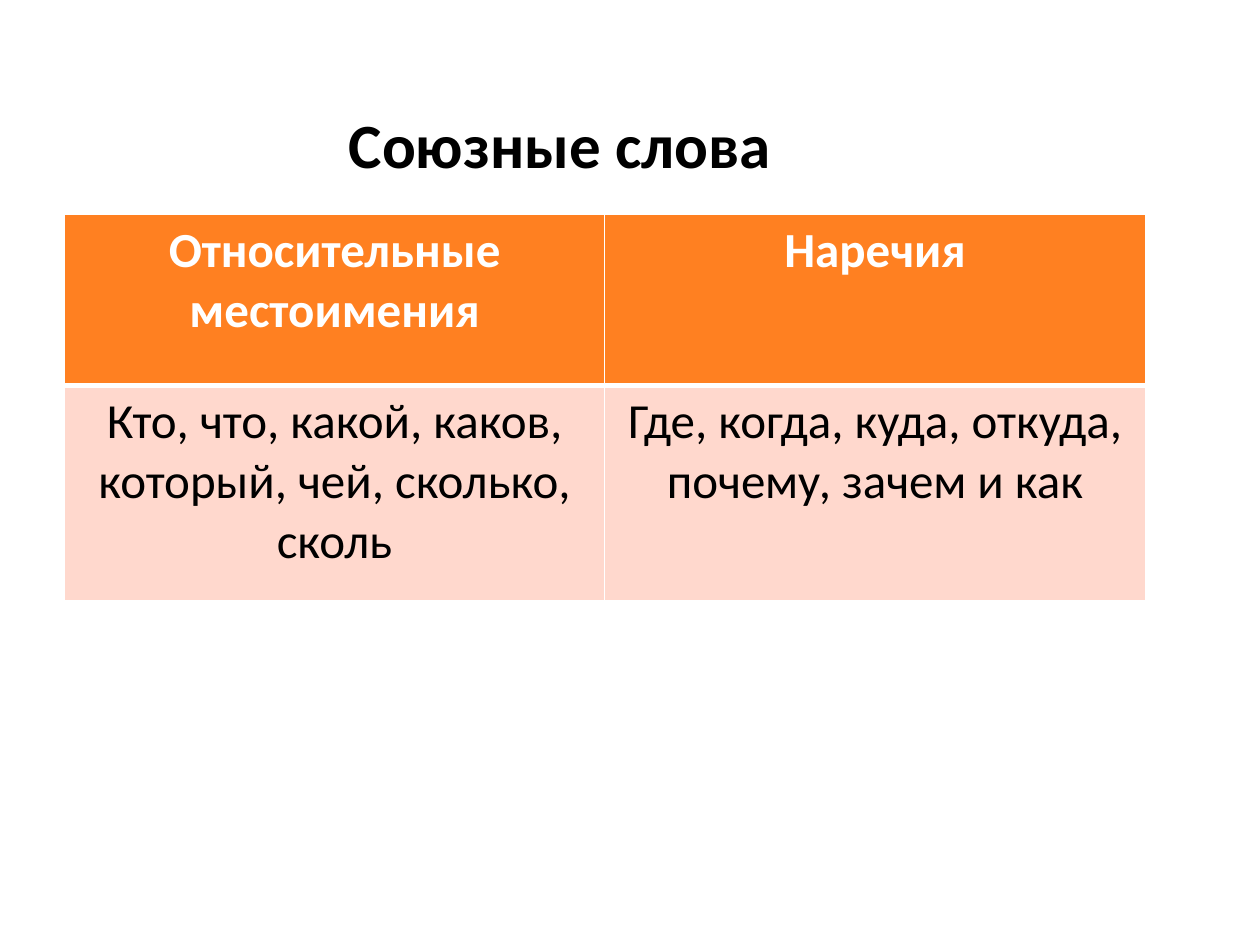
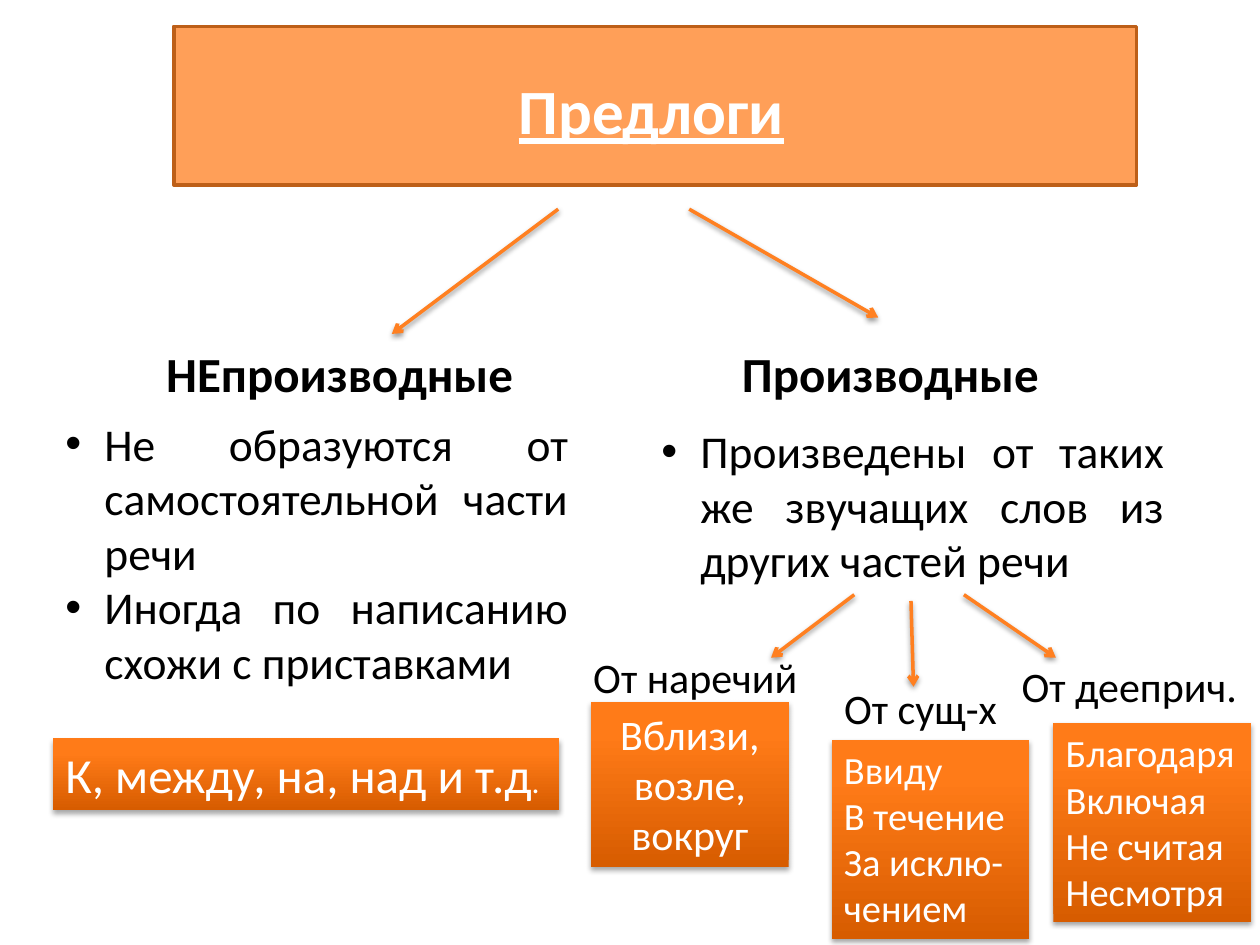
from lxml import etree
from copy import deepcopy
from pptx import Presentation
from pptx.dml.color import RGBColor
from pptx.enum import shapes, text
from pptx.oxml.ns import qn
from pptx.util import Inches, Pt

FONT = "Calibri"
COLORS = {
    "orange": "FF8021",
    "outline": "BD5F18",
    "pale": "FFD8CD",
    "white": "FFFFFF",
    "black": "000000",
}
GLOSS = [(0, "D75C00"), (0.8, "FF7B18"), (1, "FF7C19")]
ALIGN = {
    "left": text.PP_ALIGN.LEFT,
    "center": text.PP_ALIGN.CENTER,
    "justify": text.PP_ALIGN.JUSTIFY,
}


def color(name):
    return RGBColor.from_string(COLORS[name])


def child(parent, tag, **attributes):
    """Append a drawing element and return it."""
    element = etree.SubElement(parent, qn(f"a:{tag}"))
    for key, value in attributes.items():
        element.set(key, str(value))
    return element


def write(frame, lines, size, ink="black", align="left", bold=False,
          underline=False, bullet=False):
    """Fill a frame; a line is a string or a list of (text, size) spans."""
    frame.word_wrap = True
    for index, line in enumerate(lines):
        para = frame.paragraphs[0] if index == 0 else frame.add_paragraph()
        para.alignment = ALIGN[align]
        if bullet:
            properties = para._p.get_or_add_pPr()
            properties.set("marL", str(Inches(0.31)))
            properties.set("indent", str(-Inches(0.31)))
            child(properties, "buFont", typeface="Arial")
            child(properties, "buChar", char="•")
        spans = [(line, size)] if isinstance(line, str) else line
        for words, points in spans:
            span = para.add_run()
            span.text = words
            font = span.font
            font.name, font.size = FONT, Pt(points)
            font.bold, font.underline = bold, underline
            font.color.rgb = color(ink)


def label(page, box, lines, size, **style):
    frame = page.shapes.add_textbox(*map(Inches, box)).text_frame
    write(frame, lines, size, **style)
    frame.auto_size = text.MSO_AUTO_SIZE.SHAPE_TO_FIT_TEXT


def cast_shadow(shape, opacity, distance):
    properties = shape._element.spPr
    for effects in properties.findall(qn("a:effectLst")):
        properties.remove(effects)
    shadow = child(child(properties, "effectLst"), "outerShdw", blurRad=Pt(3.1),
                   dist=Pt(distance), dir=90 * 60000, rotWithShape=0)
    child(child(shadow, "srgbClr", val=COLORS["black"]), "alpha", val=opacity * 1000)


def rectangle(page, box):
    shape = page.shapes.add_shape(shapes.MSO_SHAPE.RECTANGLE, *map(Inches, box))
    shape.shadow.inherit = False
    return shape


def arrow(page, start, end):
    line = page.shapes.add_connector(shapes.MSO_CONNECTOR.STRAIGHT,
                                     *map(Inches, start + end))
    line.line.color.rgb = color("orange")
    line.line.width = Pt(2)
    child(line.line._get_or_add_ln(), "tailEnd", type="arrow")
    cast_shadow(line, 38, 1.6)


def example_card(page, box, lines, size, align="left"):
    """Glossy orange card with sample words."""
    card = rectangle(page, box)
    card.line.fill.background()
    card.fill.gradient()
    card.fill.gradient_angle = 90
    stop_list = card._element.spPr.find(".//" + qn("a:gsLst"))
    stop_list.append(deepcopy(stop_list[0]))
    for stop, (position, shade) in zip(card.fill.gradient_stops, GLOSS):
        stop.position = position
        stop.color.rgb = RGBColor.from_string(shade)
    cast_shadow(card, 35, 1.8)
    frame = card.text_frame
    frame.vertical_anchor = text.MSO_ANCHOR.TOP
    write(frame, lines, size, ink="white", align=align)
    frame.auto_size = text.MSO_AUTO_SIZE.SHAPE_TO_FIT_TEXT


def cell_borders(cell, **widths):
    properties = cell._tc.get_or_add_tcPr()
    for index, side in enumerate("LRTB"):
        line = child(properties, f"ln{side}", w=Pt(widths.get(side, 1)))
        child(child(line, "solidFill"), "srgbClr", val=COLORS["white"])
        properties.insert(index, line)


def word_table(page, box, row_heights, rows):
    table = page.shapes.add_table(len(rows), len(rows[0]), *map(Inches, box)).table
    for row, height in zip(table.rows, row_heights):
        row.height = Inches(height)
    for row_index, row in enumerate(rows):
        header = row_index == 0
        for column_index, words in enumerate(row):
            cell = table.cell(row_index, column_index)
            cell.fill.solid()
            cell.fill.fore_color.rgb = color("orange" if header else "pale")
            cell_borders(cell, **({"B": 3} if header else {"T": 3}))
            write(cell.text_frame, [words], 28, align="center", bold=header,
                  ink="white" if header else "black")


def banner(page, box, title):
    left, top, width, height = box
    panel = rectangle(page, box)
    panel.fill.solid()
    panel.fill.fore_color.rgb = color("orange")
    child(panel._element.spPr.find(qn("a:solidFill"))[0], "alpha", val=75000)
    panel.line.color.rgb = color("outline")
    panel.line.width = Pt(2)
    label(page, (left + 0.47, top + 0.31, width - 1, 0.71), [title], 36,
          ink="white", align="center", bold=True, underline=True)


def definition(page, box, heading, heading_left, points, points_top):
    """Heading over a bulleted list; the offsets are relative to the box."""
    left, top, width, height = box
    label(page, (left + heading_left, top, 3.39, 0.57), [heading], 28, bold=True)
    label(page, (left, top + points_top, width, height - points_top), points, 26,
          align="justify", bullet=True)


def origin(page, spot, heading, card_offset, card_height, examples, size, align="left"):
    """Label of a source part of speech with its example card."""
    left, top = spot
    across, down = card_offset
    label(page, (left, top, 1.99, 0.5), [heading], 24, align="justify")
    example_card(page, (left + across, top + down, 1.57, card_height),
                 examples, size, align)


def conjunctive_words(page):
    word_table(page, (0.51, 1.7, 8.58, 3.07), (1.36, 1.71), [
        ("Относительные местоимения", "Наречия"),
        ("Кто, что, какой, каков, который, чей, сколько, сколь",
         "Где, когда, куда, откуда, почему, зачем и как"),
    ])
    label(page, (2.67, 0.79, 5.43, 0.71), ["Союзные слова"], 36, bold=True)


def prepositions(page):
    banner(page, (1.38, 0.21, 7.64, 1.26), "Предлоги")
    for start, end in [
        ((4.43, 1.66), (3.11, 2.65)),
        ((5.47, 1.66), (6.97, 2.52)),
        ((6.78, 4.72), (6.12, 5.22)),
        ((7.23, 4.77), (7.25, 5.45)),
        ((7.65, 4.72), (8.38, 5.22)),
    ]:
        arrow(page, start, end)
    definition(page, (0.42, 2.68, 4.19, 2.86), "НЕпроизводные", 0.8,
               ["Не образуются от самостоятельной части речи",
                "Иногда по написанию схожи с приставками"], 0.57)
    definition(page, (5.15, 2.68, 4.19, 2.04), "Производные", 0.64,
               ["Произведены от таких же звучащих слов из других частей речи"], 0.63)
    example_card(page, (0.42, 5.86, 4.02, 0.57),
                 [[("К, между, на, над и т.д", 28), (".", 18)]], 28)
    origin(page, (4.61, 5.12), "От наречий", (0.08, 0.45), 1.31,
           ["Вблизи, возле, вокруг"], 24, "center")
    origin(page, (6.6, 5.37), "От сущ-х", (0, 0.5), 1.58,
           ["Ввиду", "В течение", "За исклю-чением"], 22)
    origin(page, (8.01, 5.19), "От дееприч.", (0.35, 0.55), 1.58,
           ["Благодаря", "Включая", "Не считая", "Несмотря"], 22)


def main():
    deck = Presentation()
    deck.slide_width, deck.slide_height = Inches(10), Inches(7.5)
    for build in (conjunctive_words, prepositions):
        build(deck.slides.add_slide(deck.slide_layouts[6]))
    deck.save("out.pptx")


if __name__ == "__main__":
    main()
